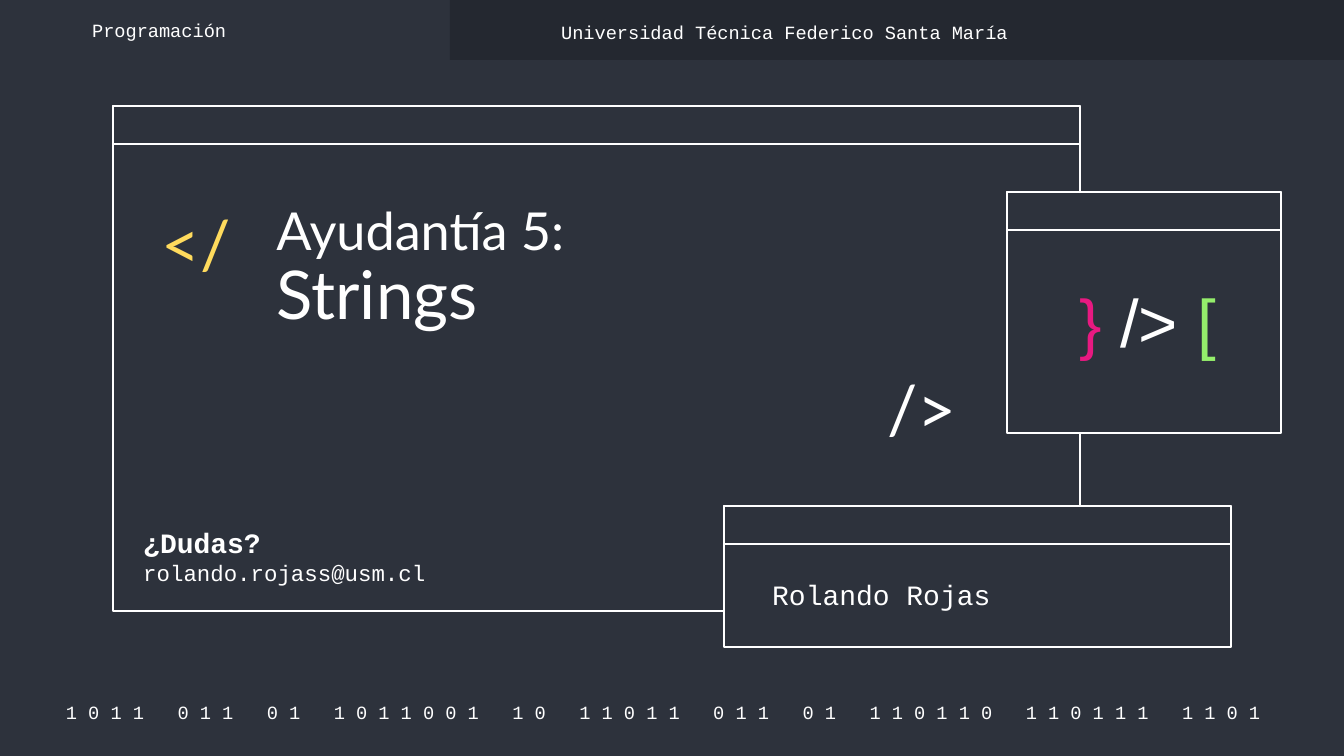
from pptx import Presentation
from pptx import util as u
from pptx.dml import color
from pptx.enum import shapes, text

SCALE = 9144000 / 1344
BACKGROUND, BAR, WHITE = "2D323C", "242830", "FFFFFF"
YELLOW, PINK, GREEN = "FFDB5D", "E81981", "94EE6B"
MONO = "Courier New"
HEADER_HEIGHT = 38
BITS = "1011 011 01 1011001 10 11011 011 01 110110 110111 1101 "


def px(length):
    """Turn pixels into EMU."""
    return u.Emu(round(length * SCALE))


def paint(fill, value):
    """Give a fill one solid colour."""
    fill.solid()
    fill.fore_color.rgb = color.RGBColor.from_string(value)


def add_box(parent, left, top, width, height, fill, line=None):
    """Add a flat rectangle, outlined if a line colour is given."""
    shape = parent.add_shape(shapes.MSO_SHAPE.RECTANGLE, px(left), px(top), px(width), px(height))
    shape.shadow.inherit = False
    paint(shape.fill, fill)
    if line:
        paint(shape.line.fill, line)
        shape.line.width = u.Pt(0.75)
    else:
        shape.line.fill.background()


def add_window(slide, left, top, width, height):
    """Add a grouped window frame with its title bar."""
    group = slide.shapes.add_group_shape()
    for part_height in (height, HEADER_HEIGHT):
        add_box(group.shapes, left, top, width, part_height, BACKGROUND, WHITE)


def format_run(run, size, font=MONO, value=WHITE, bold=False):
    """Set the font of one run."""
    run.font.name = font
    run.font.size = u.Pt(size)
    run.font.bold = bold
    paint(run.font.fill, value)


def set_frame(frame, anchor):
    """Set wrapping, margins and anchor of a text frame."""
    frame.word_wrap = True
    frame.auto_size = text.MSO_AUTO_SIZE.NONE
    frame.vertical_anchor = anchor
    frame.margin_left = frame.margin_right = u.Inches(0.1)
    frame.margin_top = frame.margin_bottom = u.Inches(0.1)


def add_text(slide, left, top, width, height, content, size, font=MONO, value=WHITE,
             anchor=text.MSO_ANCHOR.MIDDLE, align=text.PP_ALIGN.LEFT, spacing=1.0):
    """Add a text box in one style and return its text frame."""
    frame = slide.shapes.add_textbox(px(left), px(top), px(width), px(height)).text_frame
    set_frame(frame, anchor)
    frame.text = content
    for paragraph in frame.paragraphs:
        paragraph.alignment = align
        paragraph.line_spacing = spacing
        for run in paragraph.runs:
            format_run(run, size, font, value)
    return frame


def add_title(slide):
    """Place the two-line title above the windows."""
    title = slide.shapes.title
    slide.shapes._spTree.append(title._element)
    title.left, title.top, title.width, title.height = px(263), px(192), px(610), px(246)
    set_frame(title.text_frame, text.MSO_ANCHOR.TOP)
    paragraph = title.text_frame.paragraphs[0]
    paragraph.text = "Ayudantía 5:\vStrings"
    paragraph.alignment = text.PP_ALIGN.LEFT
    paragraph.line_spacing = 0.9
    for run, size in zip(paragraph.runs, (28, 36)):
        format_run(run, size, "Lato")


def add_symbols(slide):
    """Add the coloured code symbols."""
    add_text(slide, 148, 203, 103, 89, "</", 36, "Lato", YELLOW, spacing=0.9)
    add_text(slide, 874, 368, 103, 89, "/>", 36, "Lato", spacing=0.9)
    frame = add_text(slide, 1058, 276, 179, 110, "}", 36, "Arial", PINK,
                     text.MSO_ANCHOR.TOP, text.PP_ALIGN.CENTER, 0.9)
    for symbol, value in ((" /> ", WHITE), ("[", GREEN)):
        run = frame.paragraphs[0].add_run()
        run.text = symbol
        format_run(run, 36, "Arial", value)


def add_contact(slide):
    """Add the contact heading and address."""
    frame = add_text(slide, 130, 512, 484, 89, "¿Dudas?\nrolando.rojass@usm.cl", 12,
                     anchor=text.MSO_ANCHOR.TOP)
    format_run(frame.paragraphs[0].runs[0], 15, bold=True)


def main():
    """Build and save the cover slide."""
    presentation = Presentation()
    presentation.slide_width, presentation.slide_height = px(1344), px(756)
    slide = presentation.slides.add_slide(presentation.slide_layouts[5])
    paint(slide.background.fill, BACKGROUND)
    add_text(slide, 51, 699, 1246, 27, " ".join(BITS), 10, align=text.PP_ALIGN.CENTER)
    add_box(slide.shapes, 450, 0, 894, 60, BAR)
    for window in ((113, 106, 967, 505), (724, 506, 507, 141), (1007, 192, 274, 241)):
        add_window(slide, *window)
    add_symbols(slide)
    add_title(slide)
    add_text(slide, 759, 555, 448, 78, "Rolando Rojas", 15)
    add_text(slide, 79, 17, 294, 27, "Programación", 10)
    add_text(slide, 548, 17, 732, 31, "Universidad Técnica Federico Santa María", 10)
    add_contact(slide)
    presentation.save("out.pptx")


if __name__ == "__main__":
    main()
